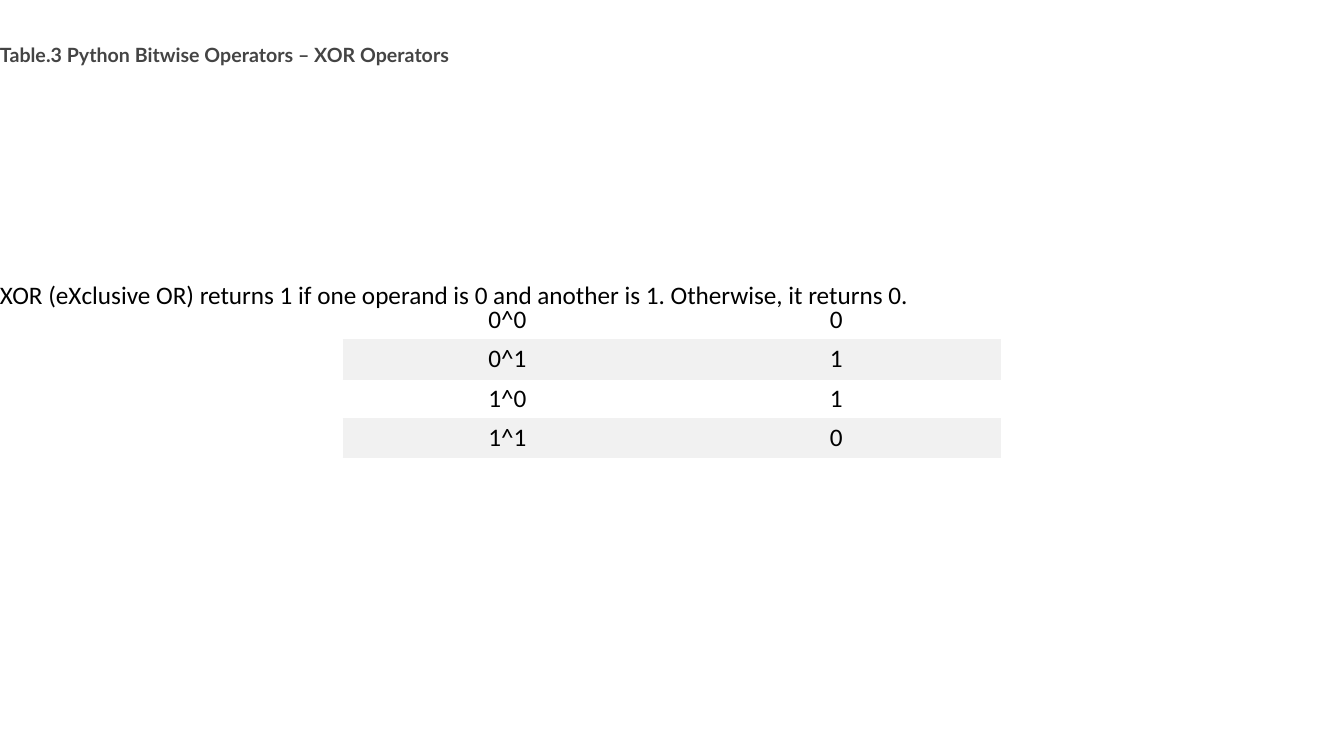
import pptx
import pptx.util
from lxml import etree
from pptx.dml.color import RGBColor
from pptx.enum.shapes import MSO_SHAPE
from pptx.enum.text import MSO_ANCHOR, PP_ALIGN
from pptx.oxml.ns import qn
from pptx.util import Cm, Pt

TITLE = "Table.3 Python Bitwise Operators – XOR Operators"
RULE = "XOR (eXclusive OR) returns 1 if one operand is 0 and another is 1. Otherwise, it returns 0."
XOR_ROWS = [("0^0", "0"), ("0^1", "1"), ("1^0", "1"), ("1^1", "0")]

BLACK = RGBColor(0x00, 0x00, 0x00)
WHITE = RGBColor(0xFF, 0xFF, 0xFF)
DARK_GREY = RGBColor(0x44, 0x44, 0x44)
BAND_GREY = RGBColor(0xF1, 0xF1, 0xF1)
NO_STYLE = "{2D5ABB26-0587-4C30-8999-92F81FD0307C}"

COL_W, ROW_H = Cm(8.29), Cm(0.99)
CELL_MARGIN = Cm(0.1)


def write(p, text, size=18, font="Calibri", color=BLACK, bold=False,
          align=PP_ALIGN.LEFT, after=0):
    p.alignment = align
    p.space_after = Pt(after)
    r = p.add_run()
    r.text = text
    r.font.size = Pt(size)
    r.font.name = font
    r.font.bold = bold
    r.font.color.rgb = color


def set_margins(frame, margin):
    frame.margin_left = frame.margin_right = margin
    frame.margin_top = frame.margin_bottom = margin


def rule_cell(cell):
    """Draw thin grey lines above and below a cell; call before filling it."""
    tc_pr = cell._tc.get_or_add_tcPr()
    for side in ("a:lnT", "a:lnB"):
        ln = etree.SubElement(tc_pr, qn(side), w=str(Pt(0.6)))
        fill = etree.SubElement(ln, qn("a:solidFill"))
        etree.SubElement(fill, qn("a:srgbClr"), val=str(BAND_GREY))


def add_xor_table(s):
    rows, cols = len(XOR_ROWS), len(XOR_ROWS[0])
    table = s.shapes.add_table(rows, cols, Cm(8.64), Cm(7.57),
                               COL_W * cols, ROW_H * rows).table
    table.first_row = table.horz_banding = False
    table._tbl.tblPr.find(qn("a:tableStyleId")).text = NO_STYLE
    for col in table.columns:
        col.width = COL_W
    for i, values in enumerate(XOR_ROWS):
        table.rows[i].height = ROW_H
        for j, value in enumerate(values):
            cell = table.cell(i, j)
            rule_cell(cell)
            cell.fill.solid()
            cell.fill.fore_color.rgb = BAND_GREY if i % 2 else WHITE
            cell.vertical_anchor = MSO_ANCHOR.MIDDLE
            set_margins(cell, CELL_MARGIN)
            write(cell.text_frame.paragraphs[0], value, align=PP_ALIGN.CENTER)


def add_heading(s):
    sp = s.shapes.add_shape(MSO_SHAPE.RECTANGLE, 0, Cm(-2.24), Cm(30.38), Cm(10.03))
    sp.shadow.inherit = False
    sp.fill.solid()
    sp.fill.fore_color.rgb = WHITE
    sp.line.fill.background()
    tf = sp.text_frame
    tf.word_wrap = True
    tf.vertical_anchor = MSO_ANCHOR.BOTTOM
    set_margins(tf, 0)
    write(tf.paragraphs[0], TITLE, size=14, font="Lato", color=DARK_GREY,
          bold=True, after=152)
    write(tf.add_paragraph(), RULE)


def main():
    prs = pptx.Presentation()
    prs.slide_width, prs.slide_height = Cm(33.87), Cm(19.05)
    s = prs.slides.add_slide(prs.slide_layouts[6])
    add_xor_table(s)
    add_heading(s)
    prs.save("out.pptx")


if __name__ == "__main__":
    main()
